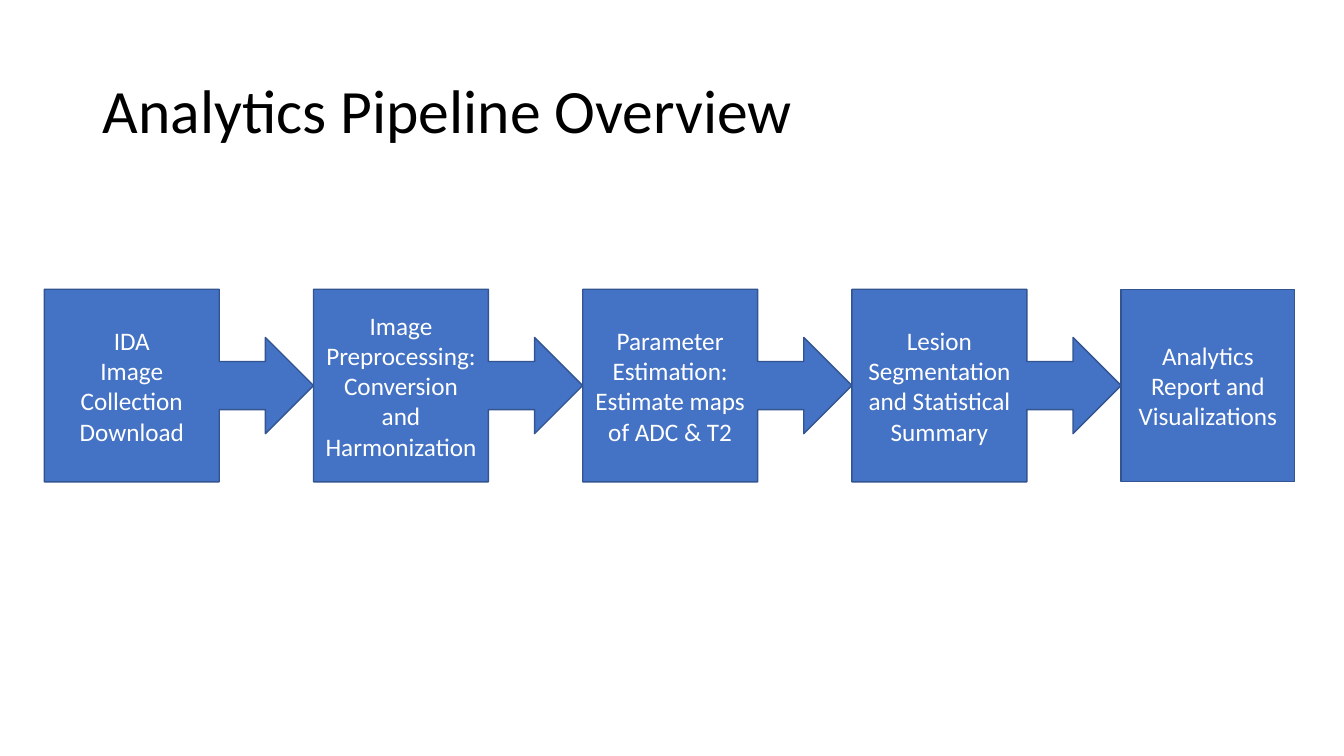
import pptx
import pptx.dml.color
import pptx.enum.shapes
import pptx.enum.text
import pptx.util
from pptx.util import Inches

ALIGN = pptx.enum.text.PP_ALIGN
SHAPE = pptx.enum.shapes.MSO_SHAPE


def color(hex_text):
    return pptx.dml.color.RGBColor.from_string(hex_text)


def write(box, text, size, hex_text, align):
    """Fill a box with vertically centred text, one paragraph per line."""
    frame = box.text_frame
    frame.word_wrap = True
    frame.vertical_anchor = pptx.enum.text.MSO_ANCHOR.MIDDLE
    frame.text = text
    for para in frame.paragraphs:
        para.alignment = align
        para.font.name = "Calibri"
        para.font.size = pptx.util.Pt(size)
        para.font.color.rgb = color(hex_text)


deck = pptx.Presentation()
deck.slide_width = Inches(13.33)
deck.slide_height = Inches(7.5)
page = deck.slides.add_slide(deck.slide_layouts[6])

title = page.shapes.add_textbox(Inches(0.92), Inches(0.4), Inches(11.5), Inches(1.45))
write(title, "Analytics Pipeline Overview", 44, "000000", ALIGN.LEFT)
title.text_frame.paragraphs[0].line_spacing = 0.9

steps = [
    "IDA\nImage Collection\nDownload",
    "Image Preprocessing: Conversion and Harmonization",
    "Parameter Estimation:\nEstimate maps of ADC & T2",
    "Lesion Segmentation and Statistical Summary",
    "Analytics Report and Visualizations",
]
first_left, step_width, last_width = 0.44, 2.67, 1.72

for index, text in enumerate(steps):
    is_last = index == len(steps) - 1
    step = page.shapes.add_shape(
        SHAPE.RECTANGLE if is_last else SHAPE.RIGHT_ARROW_CALLOUT,
        Inches(first_left + index * step_width),
        Inches(2.87),
        Inches(last_width if is_last else step_width),
        Inches(1.91),
    )
    step.shadow.inherit = False
    step.fill.solid()
    step.fill.fore_color.rgb = color("4472C4")
    step.line.color.rgb = color("325491")
    step.line.width = pptx.util.Pt(1)
    write(step, text, 18, "FFFFFF", ALIGN.CENTER)

deck.save("out.pptx")
